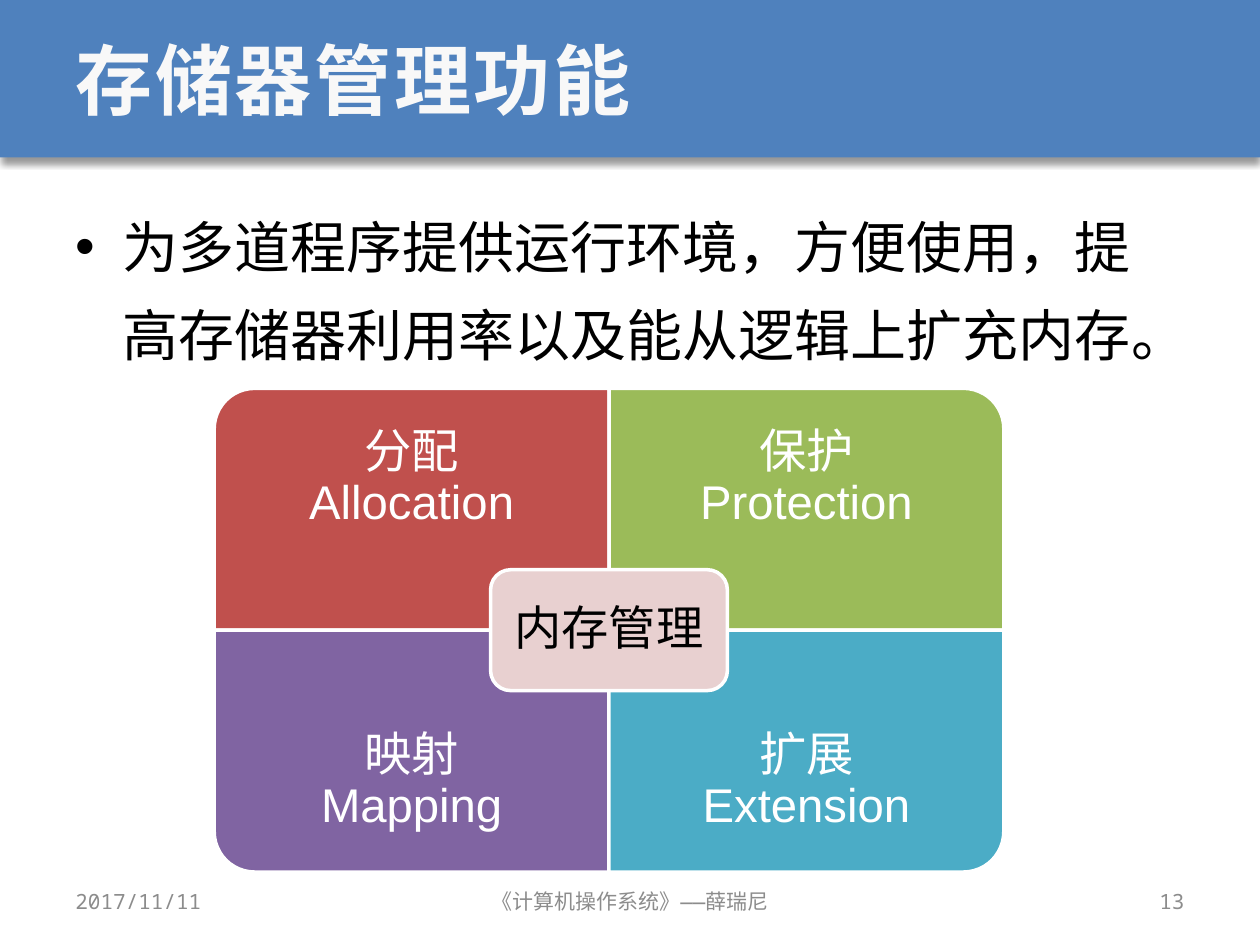
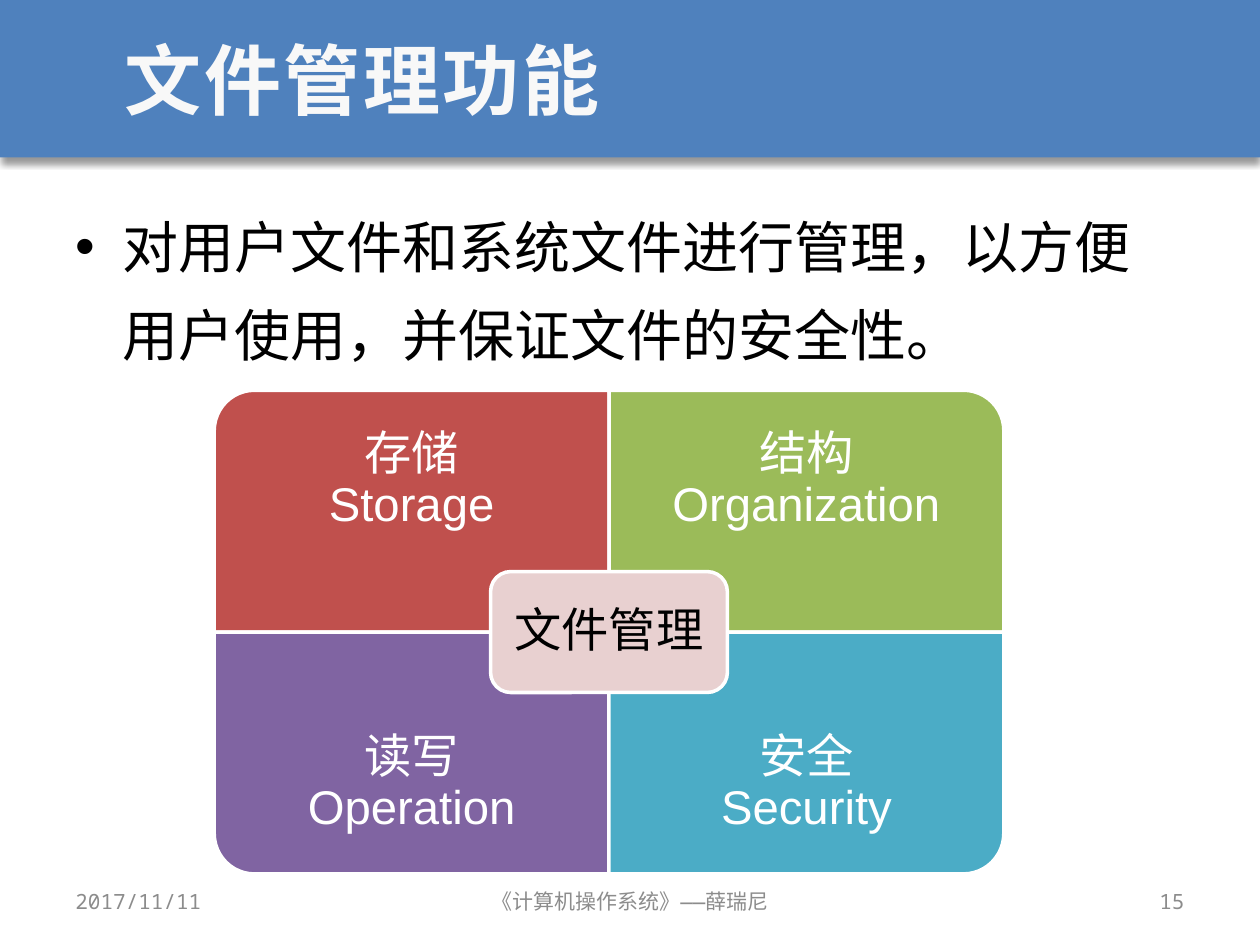
import pptx
import pptx.util
import pptx.dml.color
import pptx.enum.shapes
import pptx.enum.text
import pptx.oxml
import pptx.oxml.ns

Pt = pptx.util.Pt
RGBColor = pptx.dml.color.RGBColor
Shape = pptx.enum.shapes.MSO_SHAPE
Align = pptx.enum.text.PP_ALIGN
Anchor = pptx.enum.text.MSO_ANCHOR

BLUE = RGBColor(0x4F, 0x81, 0xBD)
WHITE = RGBColor(0xFF, 0xFF, 0xFF)
BLACK = RGBColor(0, 0, 0)
TITLE_WHITE = RGBColor(0xF8, 0xF8, 0xF8)
GREY = RGBColor(0x8C, 0x8C, 0x8C)
PINK = RGBColor(0xE8, 0xD0, 0xD0)
RED = RGBColor(0xC0, 0x50, 0x4D)
GREEN = RGBColor(0x9B, 0xBB, 0x59)
PURPLE = RGBColor(0x80, 0x64, 0xA2)
TEAL = RGBColor(0x4B, 0xAC, 0xC6)

MONO = "Noto Sans Mono"
SANS = "Arial"
PAGE_WIDTH, PAGE_HEIGHT = 720, 540
MARGIN = 36
CONTENT_WIDTH = PAGE_WIDTH - 2 * MARGIN
BAND_HEIGHT = 90
MATRIX_LEFT = 122.4
CELL_WIDTH, CELL_HEIGHT = 225.6, 138.2
# Colour and rotation of each cell, row by row; the round corner points outwards.
CELL_STYLES = [(RED, 270), (GREEN, 0), (PURPLE, 180), (TEAL, 90)]


def place(shape, left, top, width, height):
    shape.left, shape.top = Pt(left), Pt(top)
    shape.width, shape.height = Pt(width), Pt(height)


def add_xml(parent, xml):
    """Append a drawing element, written without its namespace declaration."""
    declared = xml.replace("<a:", f"<a:", 1)
    tag, rest = declared.split(" ", 1)
    parent.append(pptx.oxml.parse_xml(f"{tag} {pptx.oxml.ns.nsdecls('a')} {rest}"))


def add_span(para, text, font, size, color):
    span = para.add_run()
    span.text = text
    span.font.name = font
    span.font.size = Pt(size)
    span.font.color.rgb = color
    add_xml(span.font._element, f'<a:ea typeface="{font}"/>')
    return span


def set_frame(shape, anchor, inset=None):
    frame = shape.text_frame
    frame.word_wrap = True
    frame.auto_size = pptx.enum.text.MSO_AUTO_SIZE.NONE
    frame.vertical_anchor = anchor
    if inset is not None:
        frame.margin_left = frame.margin_right = Pt(inset)
        frame.margin_top = frame.margin_bottom = Pt(inset)
    return frame.paragraphs[0]


def add_box(page, left, top, width, height, anchor, inset=None):
    """Add a text box and return its first paragraph."""
    box = page.shapes.add_textbox(Pt(left), Pt(top), Pt(width), Pt(height))
    return set_frame(box, anchor, inset)


def add_filled(page, kind, left, top, width, height, color):
    shape = page.shapes.add_shape(kind, Pt(left), Pt(top), Pt(width), Pt(height))
    shape.shadow.inherit = False
    shape.fill.solid()
    shape.fill.fore_color.rgb = color
    shape.line.color.rgb = WHITE
    shape.line.width = Pt(2)
    return shape


def add_title(page, text):
    title = page.shapes.title
    band = add_filled(page, Shape.RECTANGLE, 0, 0, PAGE_WIDTH, BAND_HEIGHT, BLUE)
    band.line.fill.background()
    effects = band._element.spPr.find(pptx.oxml.ns.qn("a:effectLst"))
    add_xml(effects, f'<a:outerShdw blurRad="{Pt(4)}" dist="{Pt(3)}" dir="5400000" '
                     'algn="t" rotWithShape="0"><a:srgbClr val="000000">'
                     '<a:alpha val="40000"/></a:srgbClr></a:outerShdw>')
    title._element.addprevious(band._element)

    place(title, MARGIN, 0, CONTENT_WIDTH, BAND_HEIGHT)
    para = set_frame(title, Anchor.MIDDLE)
    para.alignment = Align.LEFT
    span = add_span(para, text, MONO, 44, TITLE_WHITE)
    span.font.bold = True
    span.font._element.set("spc", "150")


def add_bullet(page, text):
    para = add_box(page, MARGIN, 106.5, CONTENT_WIDTH, 384, Anchor.TOP)
    para.line_spacing = 1.3
    para.space_before = Pt(6.4)
    properties = para._p.get_or_add_pPr()
    properties.set("marL", str(Pt(27)))
    properties.set("indent", str(Pt(-27)))
    add_xml(properties, '<a:buFont typeface="Arial"/>')
    add_xml(properties, '<a:buChar char="•"/>')
    add_span(para, text, MONO, 32, BLACK)


def add_footers(page, number):
    footers = [
        (MARGIN, 168, Align.LEFT, "2017/11/11"),
        (246, 228, Align.CENTER, "《计算机操作系统》——薛瑞尼"),
        (516, 168, Align.RIGHT, number),
    ]
    for left, width, alignment, text in footers:
        para = add_box(page, left, 500.5, width, 28.75, Anchor.MIDDLE)
        para.alignment = alignment
        add_span(para, text, MONO, 12, GREY)


def write_label(para, lines, color):
    para.alignment = Align.CENTER
    para.line_spacing = 0.9
    para.space_after = Pt(9.45)
    for index, line in enumerate(lines):
        if index:
            para.add_line_break()
        add_span(para, line, SANS, 27, color)


def add_cell(page, left, top, color, rotation):
    """Add a cell with one round corner; quarter turns swap its sides."""
    width, height = CELL_WIDTH, CELL_HEIGHT
    if rotation % 180:
        width, height = height, width
    cell = add_filled(page, Shape.ROUND_1_RECTANGLE,
                      left + (CELL_WIDTH - width) / 2,
                      top + (CELL_HEIGHT - height) / 2, width, height, color)
    cell.rotation = rotation


def add_matrix(page, top, center, labels):
    label_height = 0.75 * CELL_HEIGHT
    for index, (lines, (color, rotation)) in enumerate(zip(labels, CELL_STYLES)):
        row, column = divmod(index, 2)
        left = MATRIX_LEFT + column * CELL_WIDTH
        cell_top = top + row * CELL_HEIGHT
        add_cell(page, left, cell_top, color, rotation)
        label_top = cell_top + row * (CELL_HEIGHT - label_height)
        para = add_box(page, left, label_top, CELL_WIDTH, label_height,
                       Anchor.MIDDLE, 15)
        write_label(para, lines, WHITE)

    width, height = 0.6 * CELL_WIDTH, 0.5 * CELL_HEIGHT
    hub = add_filled(page, Shape.ROUNDED_RECTANGLE,
                     MATRIX_LEFT + CELL_WIDTH - width / 2,
                     top + CELL_HEIGHT - height / 2, width, height, PINK)
    write_label(set_frame(hub, Anchor.MIDDLE, 8), [center], BLACK)


def add_page(deck, title, bullet, number, matrix_top, center, labels):
    page = deck.slides.add_slide(deck.slide_layouts.get_by_name("Title Only"))
    add_title(page, title)
    add_bullet(page, bullet)
    add_footers(page, number)
    add_matrix(page, matrix_top, center, labels)


def main():
    deck = pptx.Presentation()
    deck.slide_width, deck.slide_height = Pt(PAGE_WIDTH), Pt(PAGE_HEIGHT)
    add_page(deck, "存储器管理功能",
             "为多道程序提供运行环境，方便使用，提高存储器利用率以及能从逻辑上扩充内存。",
             "13", 221.9, "内存管理",
             [("分配", "Allocation"), ("保护", "Protection"),
              ("映射", "Mapping"), ("扩展", "Extension")])
    add_page(deck, " 文件管理功能",
             "对用户文件和系统文件进行管理，以方便用户使用，并保证文件的安全性。",
             "15", 223, "文件管理",
             [("存储", "Storage"), ("结构", "Organization"),
              ("读写", "Operation"), ("安全", "Security")])
    deck.save("out.pptx")


if __name__ == "__main__":
    main()
